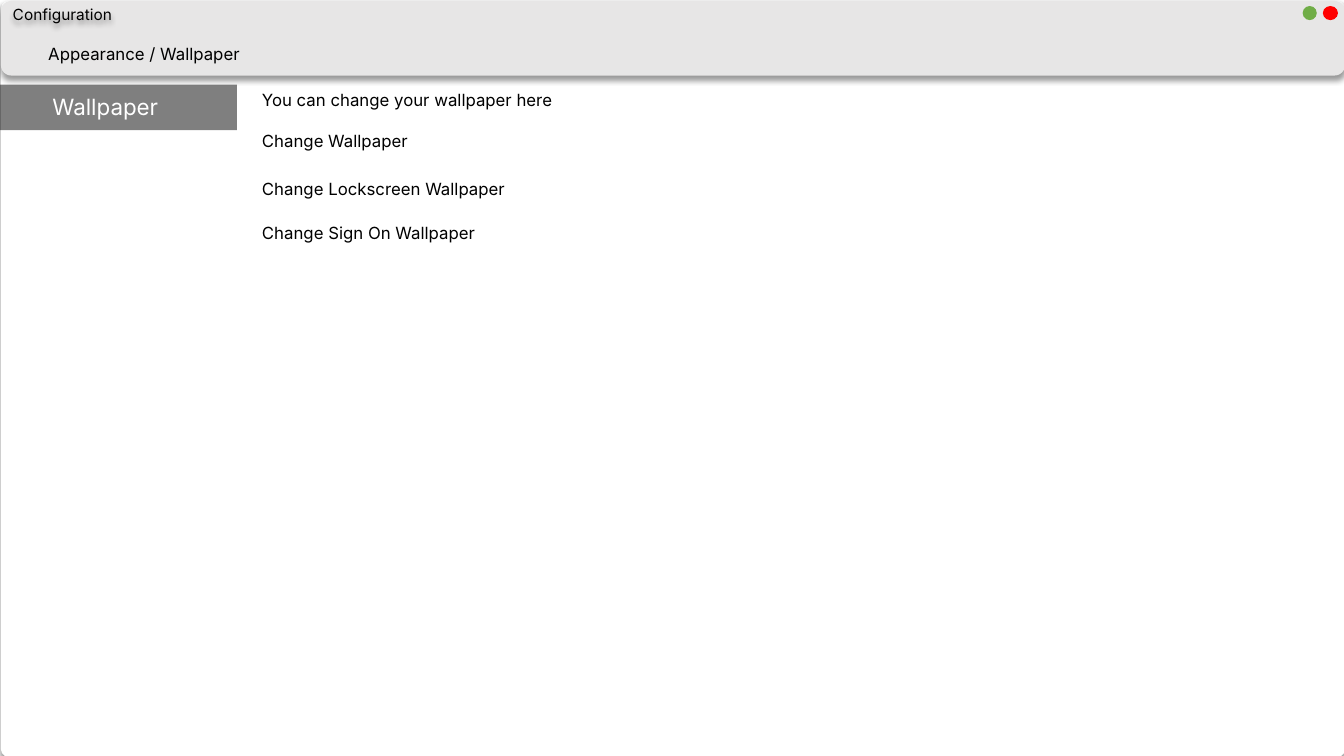
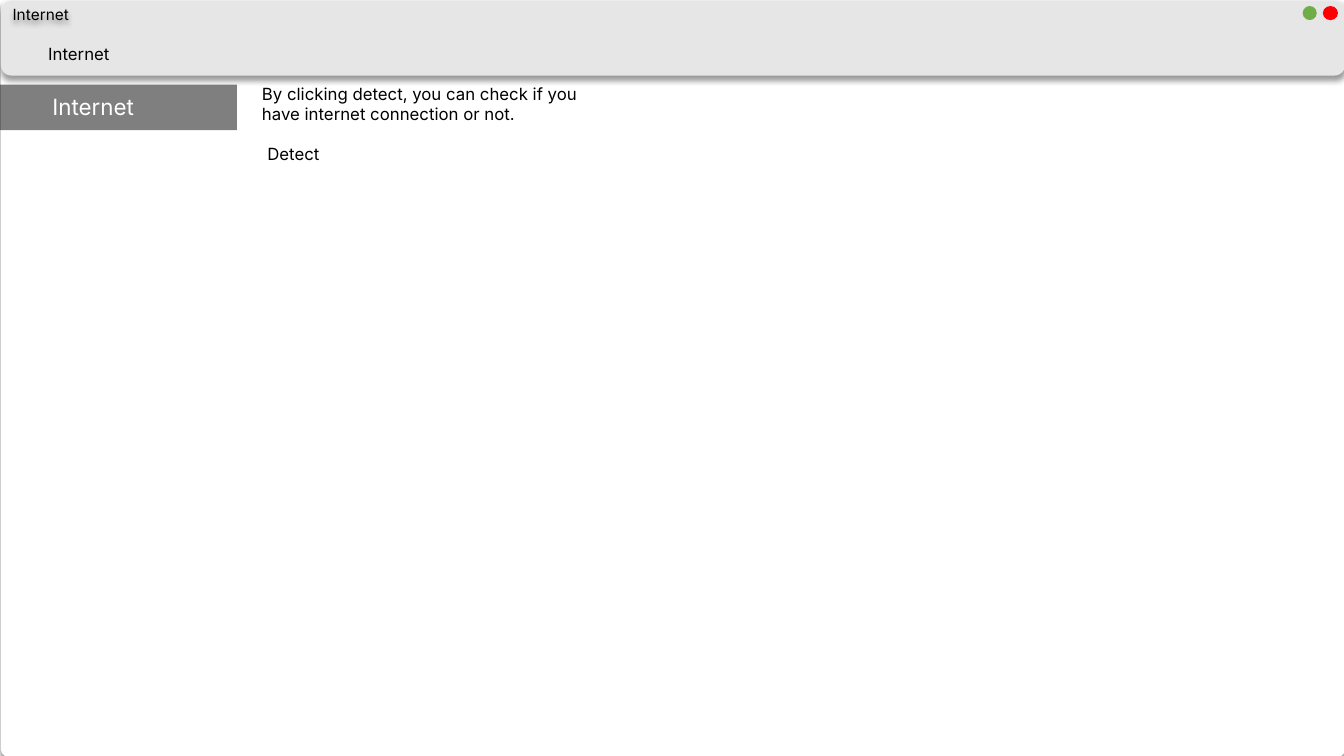
import pptx
import pptx.util
import pptx.dml.color
import pptx.enum.shapes
import pptx.enum.text
import pptx.oxml
import pptx.oxml.ns

Inches = pptx.util.Inches
RGBColor = pptx.dml.color.RGBColor
SHAPE = pptx.enum.shapes.MSO_SHAPE
ANCHOR = pptx.enum.text.MSO_ANCHOR
ALIGN = pptx.enum.text.PP_ALIGN
AUTO_SIZE = pptx.enum.text.MSO_AUTO_SIZE

BLACK = RGBColor(0x00, 0x00, 0x00)
WHITE = RGBColor(0xFF, 0xFF, 0xFF)
HEADER_GRAY = RGBColor(0xE7, 0xE6, 0xE6)
GREEN = RGBColor(0x70, 0xAD, 0x47)
RED = RGBColor(0xFF, 0x00, 0x00)
FONT = "Inter"
CONTENT_LEFT = 2.5

# Content: boxes are (left, top, width, height) in inches
PAGES = [
    {
        "window": ("Configuration", 1.2),
        "location": ("Appearance / Wallpaper", 2.12),
        "heading": ("Wallpaper", 1.27),
        "intro": (["You can change your wallpaper here"], (CONTENT_LEFT, 0.84, 4.97, 0.3), True),
        "buttons": [
            ("Change Wallpaper", (CONTENT_LEFT, 1.18, 1.67, 0.44), ALIGN.LEFT),
            ("Change Lockscreen Wallpaper", (CONTENT_LEFT, 1.65, 2.69, 0.44), ALIGN.LEFT),
            ("Change Sign On Wallpaper", (CONTENT_LEFT, 2.09, 2.69, 0.44), ALIGN.LEFT),
        ],
    },
    {
        "window": ("Internet", 0.77),
        "location": ("Internet", 0.82),
        "heading": ("Internet", 1.05),
        "intro": (
            ["By clicking detect, you can check if you", "have internet connection or not."],
            (CONTENT_LEFT, 0.78, 3.4, 0.5),
            False,
        ),
        "buttons": [("Detect", (CONTENT_LEFT, 1.38, 0.82, 0.3), ALIGN.CENTER)],
    },
]


def write(frame, lines, size=12, color=BLACK, align=ALIGN.LEFT, anchor=ANCHOR.TOP, wrap=False, grow=True):
    """Fill a text frame with one paragraph per line."""
    frame.word_wrap = wrap
    frame.auto_size = AUTO_SIZE.SHAPE_TO_FIT_TEXT if grow else AUTO_SIZE.NONE
    frame.vertical_anchor = anchor
    frame.text = "\n".join(lines)
    for para in frame.paragraphs:
        para.alignment = align
        para.font.name = FONT
        para.font.size = pptx.util.Pt(size)
        para.font.color.rgb = color


def add_text(page, lines, box, **text_format):
    text_box = page.shapes.add_textbox(*map(Inches, box))
    write(text_box.text_frame, lines, **text_format)
    return text_box


def add_panel(page, kind, box, fill, corner=None):
    panel = page.shapes.add_shape(kind, *map(Inches, box))
    panel.shadow.inherit = False
    panel.fill.solid()
    panel.fill.fore_color.rgb = fill
    panel.line.fill.background()
    if corner is not None:
        panel.adjustments[0] = corner
    return panel


def drop_shadow(shape):
    shape.shadow.inherit = False
    effects = shape.element.spPr.find(pptx.oxml.ns.qn("a:effectLst"))
    effects.append(pptx.oxml.parse_xml(
        f'<a:outerShdw {pptx.oxml.ns.nsdecls("a")} blurRad="50800" dist="38100" dir="5400000"'
        ' algn="t" rotWithShape="0"><a:srgbClr val="000000"><a:alpha val="40000"/></a:srgbClr>'
        "</a:outerShdw>"))


def make_translucent(shape, percent):
    color = shape.element.spPr.find(".//" + pptx.oxml.ns.qn("a:srgbClr"))
    color.append(pptx.oxml.parse_xml(
        f'<a:alpha {pptx.oxml.ns.nsdecls("a")} val="{percent * 1000}"/>'))


def add_sidebar(page, heading, width):
    sidebar = add_panel(page, SHAPE.RECTANGLE, (0, 0.84, 2.35, 0.45), BLACK)
    make_translucent(sidebar, 50)
    title = page.shapes.title
    page.shapes.element.append(title.element)  # bring the title above the sidebar
    title.left, title.top, title.width, title.height = map(Inches, (0.42, 0.87, width, 0.37))
    write(title.text_frame, [heading], size=16, color=WHITE)


def add_header(page, window, location):
    header = add_panel(page, SHAPE.ROUNDED_RECTANGLE, (0.01, 0.01, 13.33, 0.74), HEADER_GRAY, 0.138)
    drop_shadow(header)
    name, width = location
    add_text(page, [name], (0.38, 0.38, width, 0.3))
    for left, width, color in [(12.92, 0.14, GREEN), (13.12, 0.15, RED)]:
        add_panel(page, SHAPE.OVAL, (left, 0.06, width, 0.14), color)
    name, width = window
    caption = add_text(page, [name], (0.02, 0, width, 0.29), size=11, align=ALIGN.CENTER)
    drop_shadow(caption)


def build_page(deck, content):
    page = deck.slides.add_slide(deck.slide_layouts[5])
    drop_shadow(add_panel(page, SHAPE.ROUNDED_RECTANGLE, (0.01, 0.01, 13.33, 7.5), WHITE, 0.01))
    add_sidebar(page, *content["heading"])

    # Settings area
    for label, box, align in content["buttons"]:
        button = add_panel(page, SHAPE.ACTION_BUTTON_CUSTOM, box, WHITE)
        write(button.text_frame, [label], align=align, anchor=ANCHOR.MIDDLE, wrap=True, grow=False)
    lines, box, wrap = content["intro"]
    add_text(page, lines, box, wrap=wrap)

    add_header(page, content["window"], content["location"])


def main():
    deck = pptx.Presentation()
    deck.slide_width, deck.slide_height = Inches(13.33), Inches(7.5)
    for content in PAGES:
        build_page(deck, content)
    deck.save("out.pptx")


if __name__ == "__main__":
    main()
